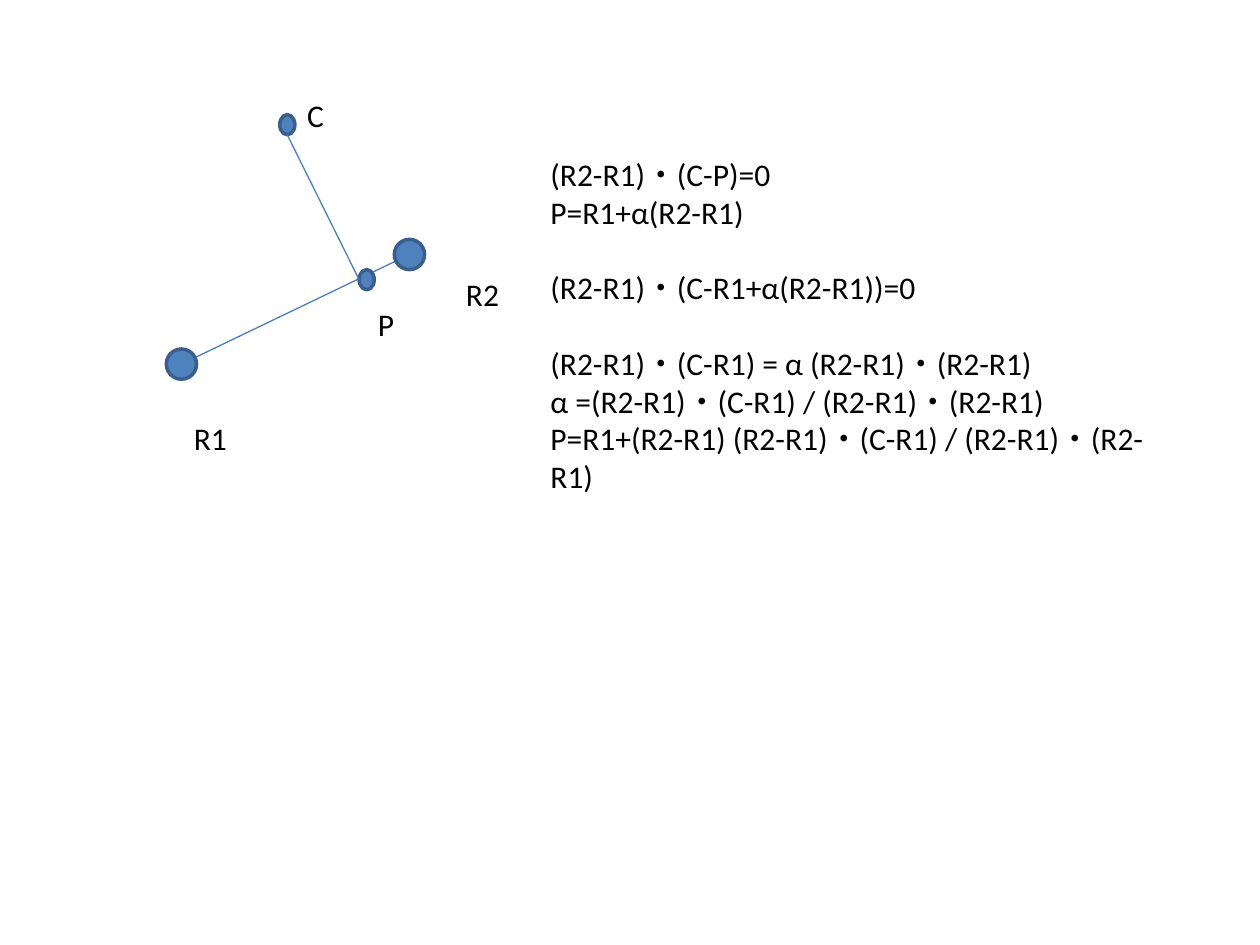
from dataclasses import dataclass

from lxml import etree
from pptx import Presentation
from pptx.dml.color import RGBColor
from pptx.enum.shapes import MSO_CONNECTOR, MSO_SHAPE
from pptx.enum.text import MSO_ANCHOR, PP_ALIGN
from pptx.oxml.ns import qn
from pptx.util import Inches, Pt

STRAIGHT = MSO_CONNECTOR.STRAIGHT
OVAL = MSO_SHAPE.OVAL
LEFT = PP_ALIGN.LEFT
TOP = MSO_ANCHOR.TOP
SLIDE_W, SLIDE_H = 10, 7.5


@dataclass(frozen=True)
class Theme:
    """Colours, font and sizes of the slide."""
    font: str = "Calibri"
    size: float = 18
    blank_line: float = 21.6
    text: str = "000000"
    dot: str = "4F81BD"
    outline: str = "3A5F8C"
    segment: str = "4B7EBC"
    outline_width: float = 2
    segment_width: float = 0.75


THEME = Theme()

# Centres and diameters of the points, in inches
R1, R2 = (1.44, 2.89), (3.25, 2.02)
C, P = (2.28, 0.99), (2.91, 2.22)
END_SIZE = (0.24, 0.24)
POINT_SIZE = (0.12, 0.16)

LABELS = (
    ("R1", 1.44, 3.28, 0.47),
    ("R2", 3.6, 2.13, 0.47),
    ("C", 2.34, 0.71, 0.34),
    ("P", 2.9, 2.37, 0.34),
)

# Each group of equations is set off by one line of space
DERIVATION = (
    ("(R2-R1)・(C-P)=0", "P=R1+α(R2-R1)"),
    ("(R2-R1)・(C-R1+α(R2-R1))=0",),
    ("(R2-R1)・(C-R1) = α (R2-R1)・(R2-R1)",
     "α =(R2-R1)・(C-R1) / (R2-R1)・(R2-R1)",
     "P=R1+(R2-R1) (R2-R1)・(C-R1) / (R2-R1)・(R2-R1)"),
)


def add_segment(slide, start, end):
    """Draw a thin straight line between two positions."""
    segment = slide.shapes.add_connector(
        STRAIGHT, *(Inches(v) for v in (*start, *end)))
    segment.line.color.rgb = RGBColor.from_string(THEME.segment)
    segment.line.width = Pt(THEME.segment_width)
    etree.SubElement(segment._element.spPr, qn("a:effectLst"))


def add_dot(slide, centre, size):
    """Draw an outlined dot around its centre."""
    corner = (mid - extent / 2 for mid, extent in zip(centre, size))
    dot = slide.shapes.add_shape(OVAL, *(Inches(v) for v in (*corner, *size)))
    dot.shadow.inherit = False
    dot.fill.solid()
    dot.fill.fore_color.rgb = RGBColor.from_string(THEME.dot)
    dot.line.color.rgb = RGBColor.from_string(THEME.outline)
    dot.line.width = Pt(THEME.outline_width)


def write(paragraph, text, *, size=THEME.size, color=THEME.text, before=0):
    """Put formatted text into a paragraph."""
    paragraph.alignment = LEFT
    paragraph.space_before = Pt(before)
    run = paragraph.add_run()
    run.text = text
    run.font.name = THEME.font
    run.font.size = Pt(size)
    run.font.color.rgb = RGBColor.from_string(color)


def add_text(slide, groups, left, top, width, height=0.4, *, wrap=False):
    """Add a text box holding groups of lines."""
    box = slide.shapes.add_textbox(
        *(Inches(v) for v in (left, top, width, height)))
    frame = box.text_frame
    frame.word_wrap = wrap
    frame.vertical_anchor = TOP
    paragraph = None
    for group in groups:
        for index, line in enumerate(group):
            new_group = paragraph is not None and index == 0
            paragraph = (frame.paragraphs[0] if paragraph is None
                         else frame.add_paragraph())
            write(paragraph, line, before=THEME.blank_line if new_group else 0)


def main():
    """Build the projection diagram and its derivation."""
    deck = Presentation()
    deck.slide_width, deck.slide_height = Inches(SLIDE_W), Inches(SLIDE_H)
    slide = deck.slides.add_slide(deck.slide_layouts[6])

    add_segment(slide, R1, R2)
    for centre, size in ((R1, END_SIZE), (R2, END_SIZE),
                         (C, POINT_SIZE), (P, POINT_SIZE)):
        add_dot(slide, centre, size)
    point_w, point_h = POINT_SIZE
    add_segment(slide, (C[0], C[1] + point_h / 2), (P[0] - point_w / 2, P[1]))

    for name, left, top, width in LABELS:
        add_text(slide, ((name,),), left, top, width)
    add_text(slide, DERIVATION, 4.27, 1.18, 5.05, 2.83, wrap=True)

    deck.save("out.pptx")


main()
